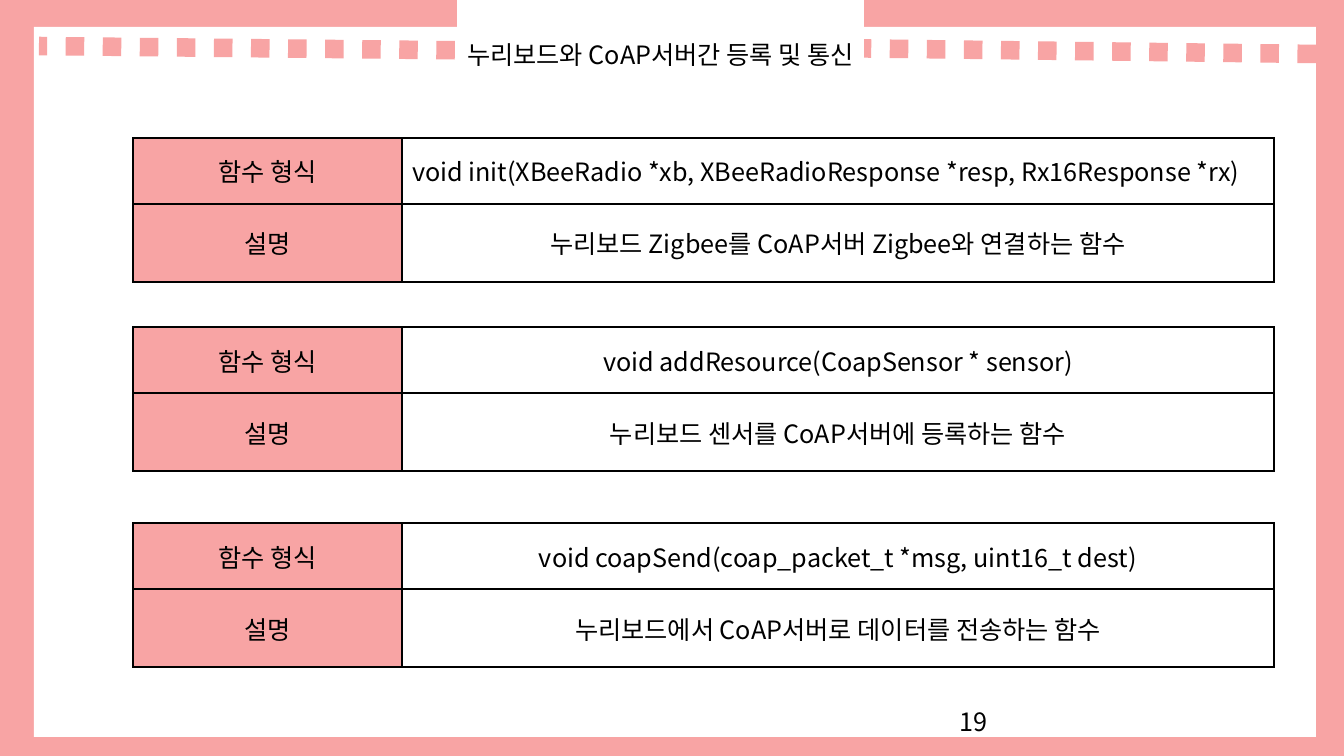
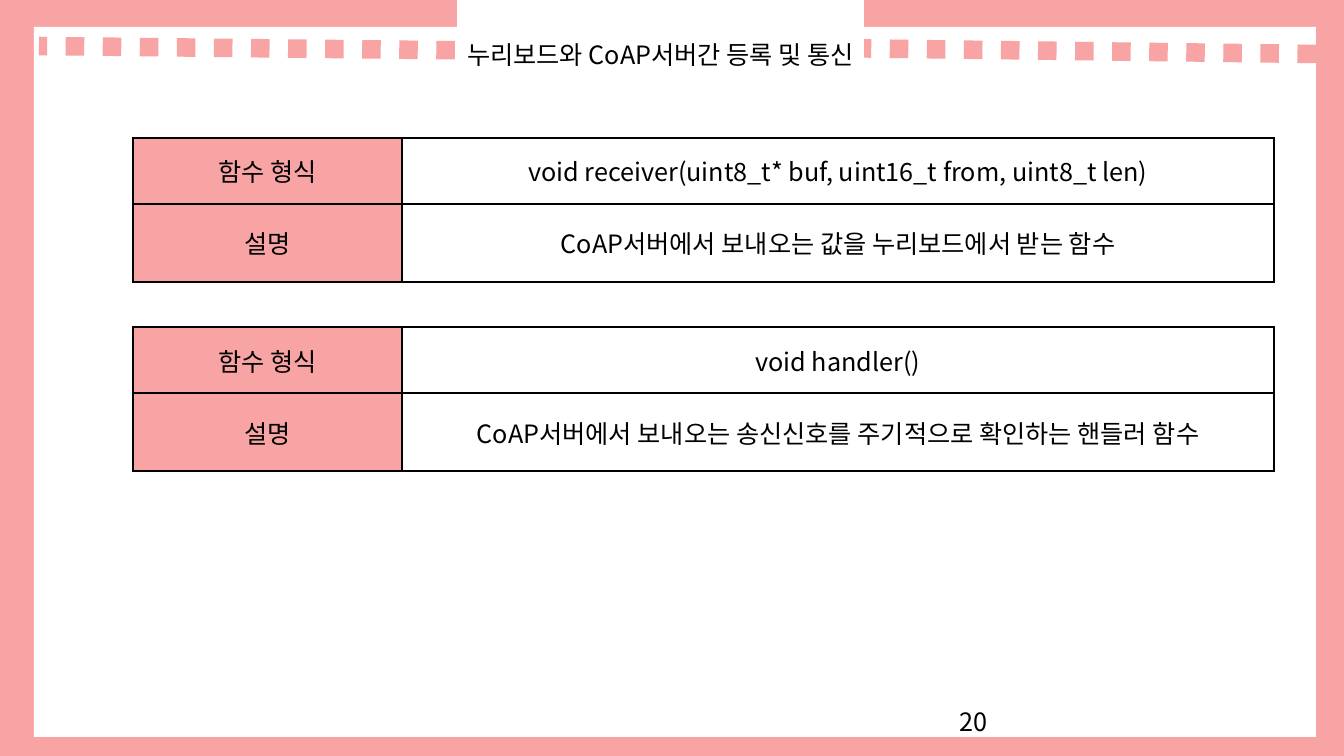
from lxml import etree
from pptx import Presentation
from pptx import util as u
from pptx.dml.color import RGBColor
from pptx.enum import dml, shapes, text
from pptx.oxml.ns import qn

PX = 914400 / 100.8
COLORS = {"pink": "F8A4A4", "white": "FFFFFF", "black": "000000"}
FONT = {"name": "Noto Sans CJK KR", "size": u.Pt(18), "bold": False}
CENTER, LEFT = text.PP_ALIGN.CENTER, text.PP_ALIGN.LEFT

TITLE = "누리보드와 CoAP서버간 등록 및 통신"
FRAME_BOX = (0, 0, 1344, 756)
PANEL_BOX = (34, 27, 1282, 710)
TITLE_BOX = (457, 0, 407, 112)
NUMBER_BOX = (950, 701, 302, 40)
DOTTED_LINES = [(529, 51, 39, 46), (1316, 54, 827, 48)]

TABLE_LEFT, TABLE_TOPS = 133, (138, 327, 523)
COLUMNS, ROWS = (269, 872), (66, 78)
LABELS = ("함수 형식", "설명")

# Page number, then (signature, description, signature alignment) per table
PAGES = [
    (19, [
        ("void init(XBeeRadio *xb, XBeeRadioResponse *resp, Rx16Response *rx)",
         "누리보드 Zigbee를 CoAP서버 Zigbee와 연결하는 함수", LEFT),
        ("void addResource(CoapSensor * sensor)",
         "누리보드 센서를 CoAP서버에 등록하는 함수", CENTER),
        ("void coapSend(coap_packet_t *msg, uint16_t dest)",
         "누리보드에서 CoAP서버로 데이터를 전송하는 함수", CENTER),
    ]),
    (20, [
        ("void receiver(uint8_t* buf, uint16_t from, uint8_t len)",
         "CoAP서버에서 보내오는 값을 누리보드에서 받는 함수", CENTER),
        ("void handler()",
         "CoAP서버에서 보내오는 송신신호를 주기적으로 확인하는 핸들러 함수", CENTER),
    ]),
]


def emu(*lengths):
    return [u.Emu(round(length * PX)) for length in lengths]


def color(name):
    return RGBColor.from_string(COLORS[name])


def set_all(target, values):
    for name, value in values.items():
        setattr(target, name, value)


def paint(target, name):
    target.fill.solid()
    target.fill.fore_color.rgb = color(name)


def write(frame, words, align, spacing=1.0):
    para = frame.paragraphs[0]
    set_all(para, {"alignment": align, "line_spacing": spacing})
    span = para.add_run()
    span.text = words
    set_all(span.font, FONT)
    span.font.color.rgb = color("black")


def use_korean_font(element):
    for props in element.iter(qn("a:rPr")):
        etree.SubElement(props, qn("a:ea"), typeface=FONT["name"])


def add_panel(page, box, fill):
    panel = page.shapes.add_shape(shapes.MSO_SHAPE.RECTANGLE, *emu(*box))
    panel.shadow.inherit = False
    paint(panel, fill)
    panel.line.fill.background()


def add_dotted_line(page, ends):
    line = page.shapes.add_connector(shapes.MSO_CONNECTOR.STRAIGHT, *emu(*ends))
    line.line.color.rgb = color("pink")
    set_all(line.line, {"width": u.Pt(13.25),
                        "dash_style": dml.MSO_LINE.ROUND_DOT})
    etree.SubElement(line.element.spPr, qn("a:effectLst"))


def add_number(page, box, number):
    label = page.shapes.add_textbox(*emu(*box))
    label.text_frame.word_wrap = True
    write(label.text_frame, str(number), LEFT)
    use_korean_font(label.element)


def place_title(page, box):
    title = page.shapes.title
    # Bring the title in front of the frame
    title.element.getparent().append(title.element)
    set_all(title, dict(zip(("left", "top", "width", "height"), emu(*box))))
    paint(title, "white")
    set_all(title.text_frame, {"word_wrap": True,
                               "auto_size": text.MSO_AUTO_SIZE.NONE,
                               "vertical_anchor": text.MSO_ANCHOR.MIDDLE})
    write(title.text_frame, TITLE, CENTER, 0.9)
    use_korean_font(title.element)


def add_borders(element):
    for props in element.iter(qn("a:tcPr")):
        for side in ("lnL", "lnR", "lnT", "lnB"):
            edge = etree.SubElement(props, qn("a:" + side), w=str(u.Pt(1)))
            fill = etree.SubElement(edge, qn("a:solidFill"))
            etree.SubElement(fill, qn("a:srgbClr"), val=COLORS["black"])


def add_function_table(page, left, top, signature, description, align):
    holder = page.shapes.add_table(
        len(ROWS), len(COLUMNS), *emu(left, top, sum(COLUMNS), sum(ROWS)))
    table = holder.table
    set_all(table, {"first_row": False, "horz_banding": False})
    for column, width in zip(table.columns, emu(*COLUMNS)):
        column.width = width
    for row, height in zip(table.rows, emu(*ROWS)):
        row.height = height
    for cell in table.iter_cells():
        cell.vertical_anchor = text.MSO_ANCHOR.MIDDLE
    # Borders come before the fill in each cell
    add_borders(holder.element)
    values = ((signature, align), (description, CENTER))
    for row, label, (words, value_align) in zip(table.rows, LABELS, values):
        name_cell, value_cell = row.cells
        paint(name_cell, "pink")
        paint(value_cell, "white")
        write(name_cell.text_frame, label, CENTER)
        write(value_cell.text_frame, words, value_align)
    use_korean_font(holder.element)


def add_page(deck, number, functions):
    page = deck.slides.add_slide(deck.slide_layouts[5])
    # Frame, footer and dotted lines
    add_panel(page, FRAME_BOX, "pink")
    add_panel(page, PANEL_BOX, "white")
    add_number(page, NUMBER_BOX, number)
    for ends in DOTTED_LINES:
        add_dotted_line(page, ends)
    place_title(page, TITLE_BOX)
    # Function tables
    for top, function in zip(TABLE_TOPS, functions):
        add_function_table(page, TABLE_LEFT, top, *function)


def main():
    deck = Presentation()
    deck.slide_width, deck.slide_height = emu(*FRAME_BOX[2:])
    for number, functions in PAGES:
        add_page(deck, number, functions)
    deck.save("out.pptx")


if __name__ == "__main__":
    main()
